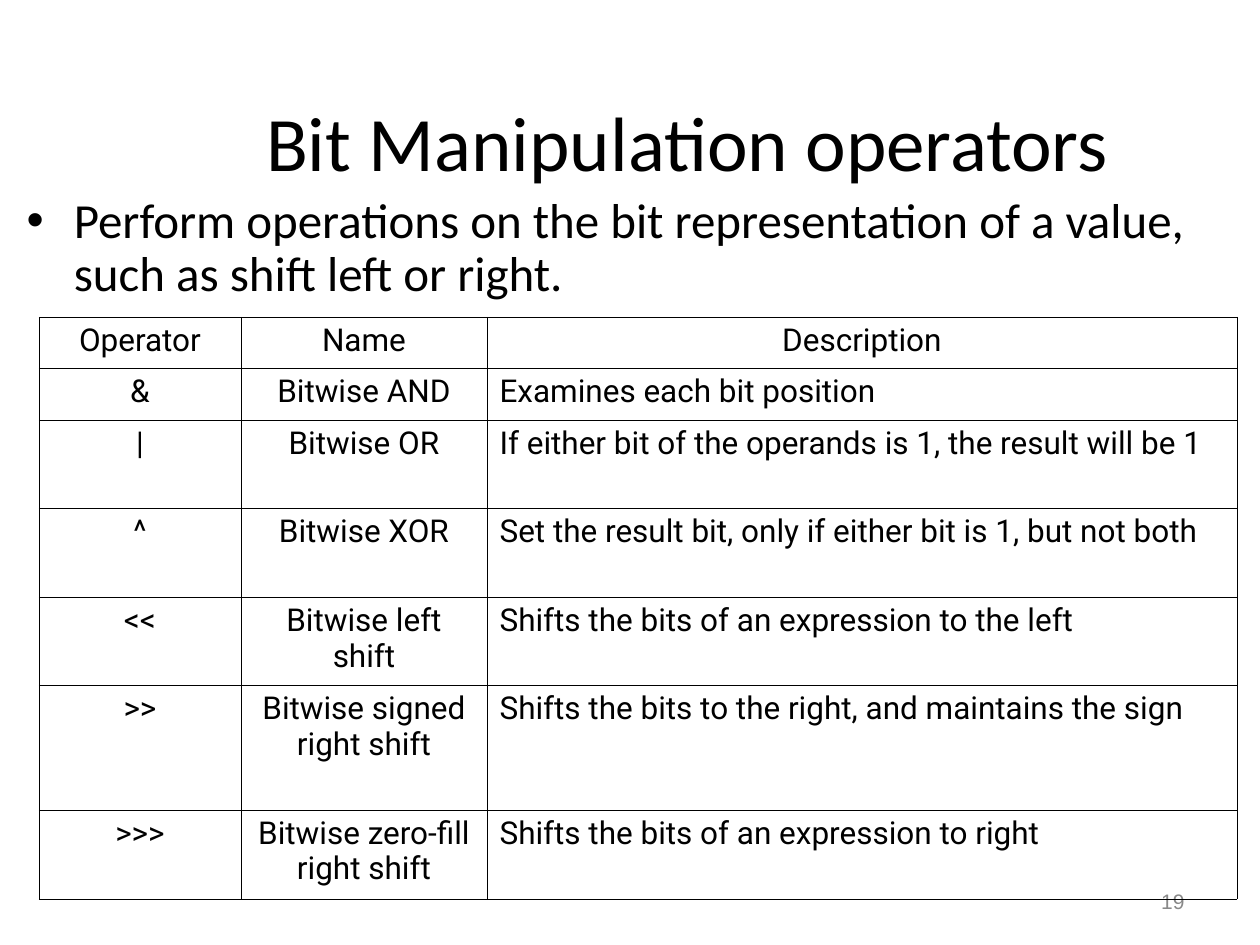
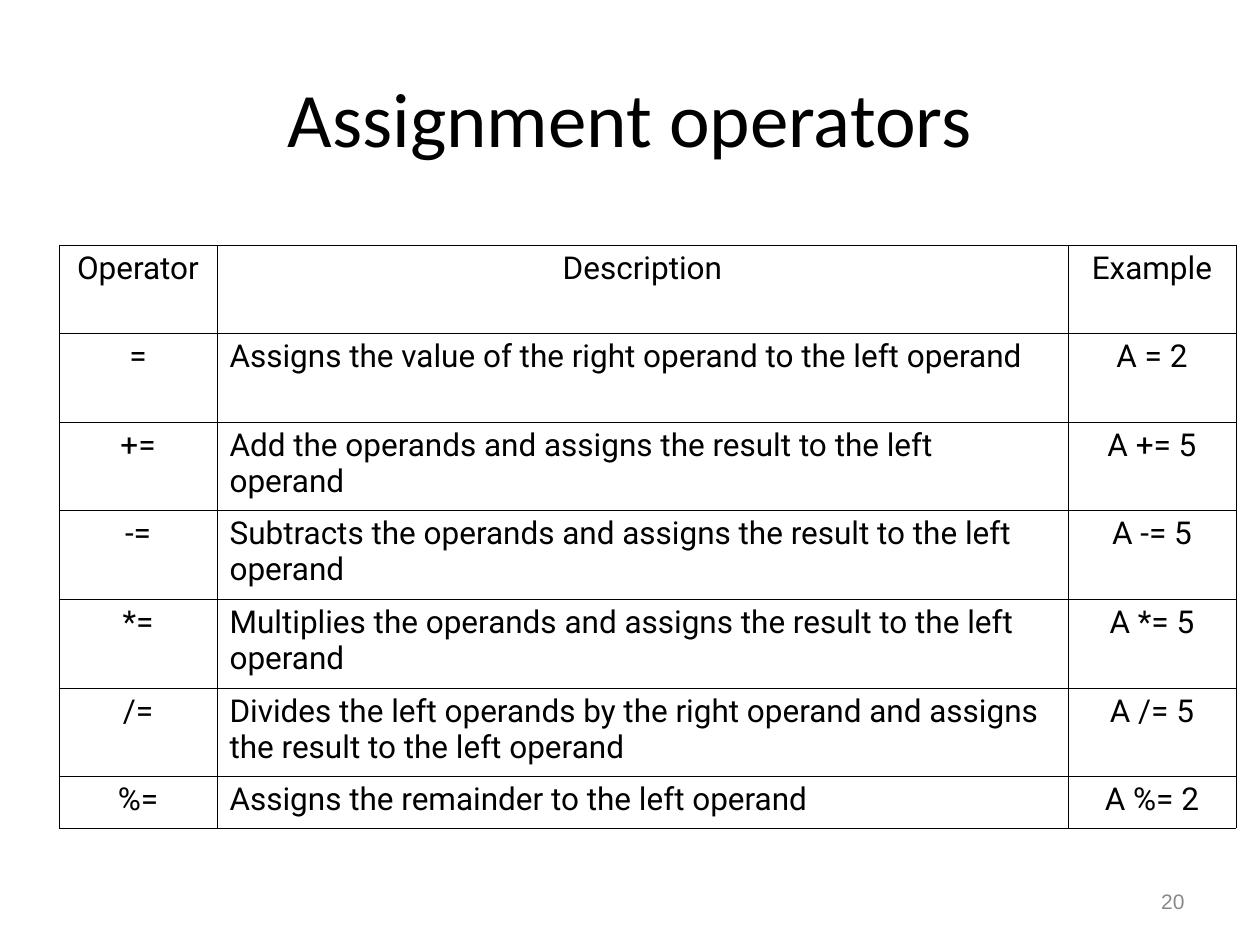
"""Build two slides that list the bitwise and the assignment operators."""
from lxml import etree
from pptx import Presentation
from pptx.dml.color import RGBColor
from pptx.enum.text import MSO_ANCHOR, MSO_AUTO_SIZE, PP_ALIGN
from pptx.oxml.ns import qn
from pptx.util import Emu, Pt

LEFT, CENTER, RIGHT = PP_ALIGN.LEFT, PP_ALIGN.CENTER, PP_ALIGN.RIGHT
TOP, MIDDLE = MSO_ANCHOR.TOP, MSO_ANCHOR.MIDDLE
NO_FIT = MSO_AUTO_SIZE.NONE
EMU_PER_PX = 914400 / 126
PAGE_SIZE = (1260, 945)
NUMBER_AREA = (903, 876, 294, 50)
COLORS = {"text": "000000", "border": "000000", "number": "898989"}
FONTS = {"text": "Calibri", "table": "Roboto", "number": "Arial"}
OUTER_LINE, INNER_LINE = 0.23, 0.11
TITLE_AND_BODY, TITLE_ONLY = 1, 5

SLIDES = [
    {
        "number": 19,
        "title": "Bit Manipulation operators",
        "title_area": (147, 42, 1081, 198),
        "body": "Perform operations on the bit representation of a value, "
                "such as shift left or right.",
        "body_area": (14, 190, 1201, 147),
        "table_at": (39, 317),
        "columns": [202, 246, 750],
        "rows": [51, 52, 88, 89, 88, 125, 89],
        "cells": [
            ("Operator", "Name", "Description"),
            ("&", "Bitwise AND", "Examines each bit position"),
            ("|", "Bitwise OR", "If either bit of the operands is 1, the result will be 1"),
            ("^", "Bitwise XOR", "Set the result bit, only if either bit is 1, but not both"),
            ("<<", "Bitwise left shift", "Shifts the bits of an expression to the left"),
            (">>", "Bitwise signed right shift",
             "Shifts the bits to the right, and maintains the sign"),
            (">>>", "Bitwise zero-fill right shift",
             "Shifts the bits of an expression to right"),
        ],
    },
    {
        "number": 20,
        "title": "Assignment operators",
        "title_area": (63, 38, 1134, 158),
        "table_at": (59, 245),
        "columns": [158, 851, 168],
        "rows": [88, 89, 88, 89, 89, 88, 52],
        "cells": [
            ("Operator", "Description", "Example"),
            ("=", "Assigns the value of the right operand to the left operand", "A = 2"),
            ("+=", "Add the operands and assigns the result to the left operand", "A += 5"),
            ("-=", "Subtracts the operands and assigns the result to the left operand",
             "A -= 5"),
            ("*=", "Multiplies the operands and assigns the result to the left operand",
             "A *= 5"),
            ("/=", "Divides the left operands by the right operand and assigns "
                   "the result to the left operand", "A /= 5"),
            ("%=", "Assigns the remainder to the left operand", "A %= 2"),
        ],
    },
]


def px(length):
    return Emu(round(length * EMU_PER_PX))


def place(shape, area):
    shape.left, shape.top, shape.width, shape.height = map(px, area)


def write(frame, text, size, font, color="text", align=LEFT, spacing=1.0, before=0):
    para = frame.paragraphs[0]
    para.alignment = align
    para.line_spacing = spacing
    para.space_before = Pt(before)
    span = para.add_run()
    span.text = text
    span.font.size = Pt(size)
    span.font.name = FONTS[font]
    span.font.color.rgb = RGBColor.from_string(COLORS[color])


def fill_box(box, area, anchor, text, size, font, **style):
    place(box, area)
    frame = box.text_frame
    frame.word_wrap = True
    frame.auto_size = NO_FIT
    frame.vertical_anchor = anchor
    write(frame, text, size, font, **style)


def draw_borders(cell, outer_sides):
    properties = cell._tc.get_or_add_tcPr()
    for index, side in enumerate("LRTB"):
        width = OUTER_LINE if side in outer_sides else INNER_LINE
        line = etree.Element(qn(f"a:ln{side}"), w=str(int(Pt(width))))
        fill = etree.SubElement(line, qn("a:solidFill"))
        etree.SubElement(fill, qn("a:srgbClr"), val=COLORS["border"])
        properties.insert(index, line)


def add_operator_table(page, content):
    columns, rows, cells = content["columns"], content["rows"], content["cells"]
    area = (*content["table_at"], sum(columns), sum(rows))
    table = page.shapes.add_table(len(rows), len(columns), *map(px, area)).table
    table.first_row = table.horz_banding = False
    for column, width in zip(table.columns, columns):
        column.width = px(width)
    for row, height in zip(table.rows, rows):
        row.height = px(height)
    description = cells[0].index("Description")
    for r, texts in enumerate(cells):
        for c, text in enumerate(texts):
            cell = table.cell(r, c)
            cell.fill.background()
            edges = {"L": c == 0, "R": c == len(columns) - 1,
                     "T": r == 0, "B": r == len(rows) - 1}
            draw_borders(cell, [side for side, outer in edges.items() if outer])
            align = LEFT if r and c == description else CENTER
            write(cell.text_frame, text, 18, "table", align=align, spacing=0.96, before=4.5)


def add_page(deck, content):
    layout = TITLE_AND_BODY if "body" in content else TITLE_ONLY
    page = deck.slides.add_slide(deck.slide_layouts[layout])
    number_box = page.shapes.add_textbox(*map(px, NUMBER_AREA))
    fill_box(number_box, NUMBER_AREA, MIDDLE, str(content["number"]), 12, "number",
             color="number", align=RIGHT)
    fill_box(page.shapes.title, content["title_area"], MIDDLE, content["title"], 44, "text",
             align=CENTER)
    if "body" in content:
        fill_box(page.placeholders[1], content["body_area"], TOP, content["body"], 28, "text",
                 spacing=0.9, before=7)
    add_operator_table(page, content)


def main():
    deck = Presentation()
    deck.slide_width, deck.slide_height = map(px, PAGE_SIZE)
    for content in SLIDES:
        add_page(deck, content)
    deck.save("out.pptx")


if __name__ == "__main__":
    main()
